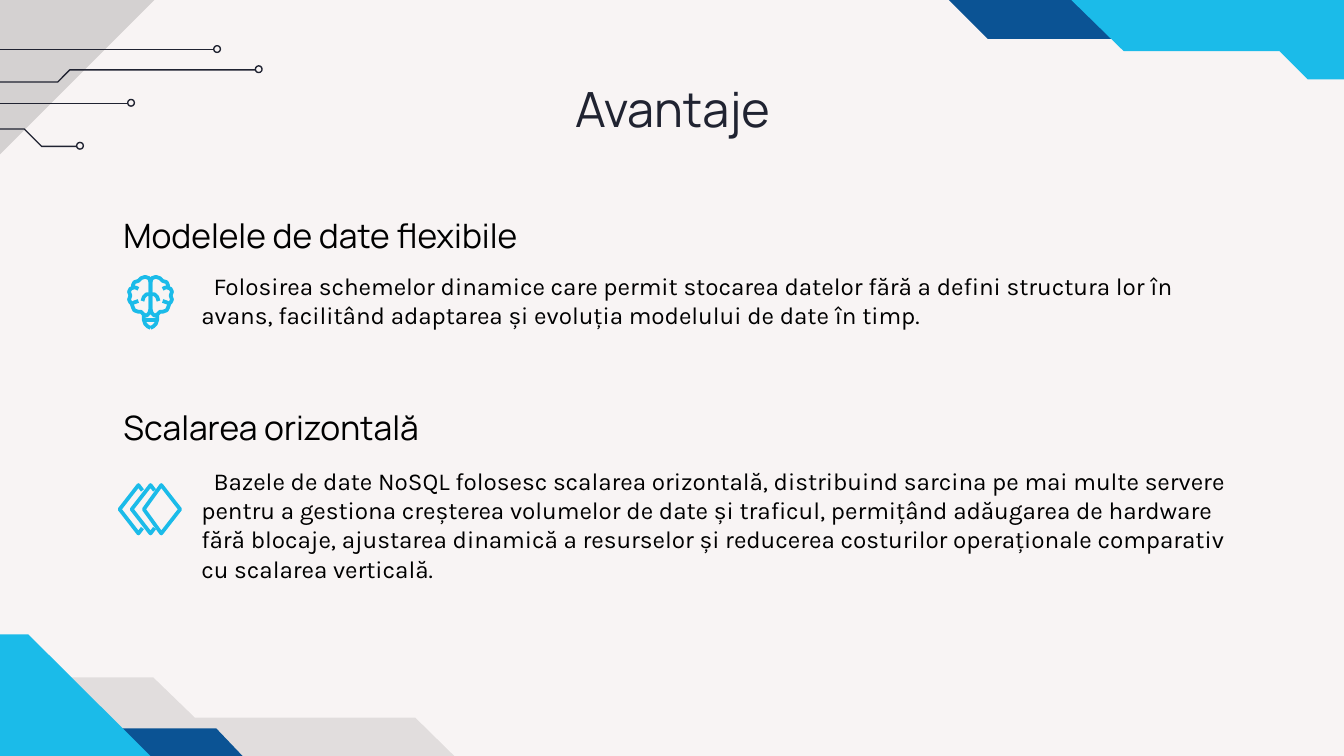
from lxml import etree
from pptx import Presentation
from pptx.dml.color import RGBColor
from pptx.enum.shapes import MSO_CONNECTOR, MSO_SHAPE
from pptx.enum.text import MSO_ANCHOR, MSO_AUTO_SIZE, PP_ALIGN
from pptx.oxml.ns import qn
from pptx.util import Pt

PX = 9144  # EMU in one px, at 100 px to the inch
WIDTH = 1000
LINE, OVAL = MSO_CONNECTOR.STRAIGHT, MSO_SHAPE.OVAL
TOP, BOTTOM = MSO_ANCHOR.TOP, MSO_ANCHOR.BOTTOM
LEFT, CENTER = PP_ALIGN.LEFT, PP_ALIGN.CENTER
FIXED = MSO_AUTO_SIZE.NONE

PAPER = RGBColor(0xF8, 0xF4, 0xF4)
BLACK = RGBColor(0x00, 0x00, 0x00)
INK = RGBColor(0x20, 0x23, 0x31)
NAVY = RGBColor(0x0B, 0x53, 0x94)
CYAN = RGBColor(0x1B, 0xBB, 0xE9)

TITLE = {"name": "Manrope", "size": Pt(26)}
HEAD = {"name": "Manrope", "size": Pt(18)}
BODY = {"name": "Karla", "size": Pt(13)}
MARGIN = 10
INDENT = 9

# Corner bands from back to front: colour, opacity in percent, outline
BANDS = [
    (BLACK, 9, [(-120, 504), (-120, 834), (439, 834), (439, 592), (368, 592),
                (309, 534), (145, 534), (114, 504)]),
    (BLACK, 14, [(-174, 120), (-174, -66), (181, -66), (-5, 120)]),
    (NAVY, 100, [(861, 29), (832, 0), (706, 0), (735, 29)]),
    (NAVY, 100, [(181, 563), (161, 542), (71, 542), (91, 563)]),
    (CYAN, 100, [(1139, 59), (1139, -174), (744, -174), (744, -3), (794, -3),
                 (836, 38), (952, 38), (973, 59)]),
    (CYAN, 100, [(-165, 472), (-165, 676), (226, 676), (21, 472)]),
]
TRACES = [
    [(-72, 77), (95, 77)],
    [(-108, 96), (18, 96), (31, 109), (57, 109)],
    [(-140, 61), (43, 61), (52, 52), (190, 52)],
    [(-165, 37), (159, 37)],
]

# Left half of the brain; the right half mirrors it about AXIS
AXIS = 112
HALF = [
    [(112, 210), (111, 207), (108, 206), (105, 207), (103, 209), (100, 210),
     (99, 212), (99, 214), (97, 215), (96, 217), (97, 220), (96, 223),
     (97, 225), (98, 226), (99, 229), (100, 231), (103, 232), (105, 232),
     (107, 234), (109, 235), (111, 233), (112, 230), (112, 210)],
    [(98, 226), (100, 225), (103, 224)],
    [(99, 214), (101, 214), (103, 215)],
    [(106, 224), (107, 221), (109, 219), (112, 219)],
    [(107, 234), (107, 238), (108, 241), (110, 243), (112, 244)],
    [(107, 238), (112, 238)],
]
BRAIN = HALF + [[(2 * AXIS - x, y) for x, y in part] for part in HALF]

CHEVRON = [(115, 365), (112, 361), (98, 379), (112, 397), (115, 393)]
LAYERS = [
    [(120, 361), (134, 379), (120, 397), (107, 379), (120, 361)],
    CHEVRON,
    [(x - 9, y) for x, y in CHEVRON],
]

# Heading, heading top, text, text top, text height
POINTS = [
    ("Modelele de date flexibile", 147,
     "Folosirea schemelor dinamice care permit stocarea datelor fără a defini "
     "structura lor în avans, facilitând adaptarea și evoluția modelului de "
     "date în timp.", 192, 63),
    ("Scalarea orizontală", 290,
     "Bazele de date NoSQL folosesc scalarea orizontală, distribuind sarcina "
     "pe mai multe servere pentru a gestiona creșterea volumelor de date și "
     "traficul, permițând adăugarea de hardware fără blocaje, ajustarea "
     "dinamică a resurselor și reducerea costurilor operaționale comparativ "
     "cu scalarea verticală.", 337, 105),
]


class Deck:
    def __init__(self):
        self.prs = Presentation()
        self.prs.slide_width = WIDTH * PX
        self.prs.slide_height = WIDTH * PX * 9 // 16
        self.slide = self.prs.slides.add_slide(self.prs.slide_layouts[5])
        self.shapes = self.slide.shapes
        back = self.slide.background.fill
        back.solid()
        back.fore_color.rgb = PAPER

    def stroke(self, shape, color, width):
        shape.line.color.rgb = color
        shape.line.width = Pt(width)

    def outline(self, parts, close):
        """Build one freeform out of several contours."""
        pen = self.shapes.build_freeform(*parts[0][0], scale=PX)
        for i, part in enumerate(parts):
            if i:
                pen.move_to(*part[0])
            pen.add_line_segments(part[1:], close=close)
        shape = pen.convert_to_shape()
        shape.shadow.inherit = False
        return shape

    def band(self, color, alpha, points):
        shape = self.outline([points], True)
        shape.fill.solid()
        shape.fill.fore_color.rgb = color
        shape.line.fill.background()
        if alpha < 100:
            tint = shape._element.spPr.find(".//" + qn("a:srgbClr"))
            etree.SubElement(tint, qn("a:alpha"), val=str(alpha * 1000))

    def sketch(self, parts, color, width):
        shape = self.outline(parts, False)
        shape.fill.background()
        self.stroke(shape, color, width)

    def wire(self, start, end):
        line = self.shapes.add_connector(LINE, *(v * PX for v in start + end))
        self.stroke(line, INK, 0.75)
        etree.SubElement(line._element.spPr, qn("a:effectLst"))

    def ring(self, x, y, size):
        shape = self.shapes.add_shape(OVAL, x * PX, y * PX, size * PX, size * PX)
        shape.shadow.inherit = False
        shape.fill.background()
        self.stroke(shape, INK, 0.75)

    def trace(self, points):
        """Draw a circuit track that ends in a ring."""
        if len(points) == 2:
            self.wire(*points)
        else:
            self.sketch([points], INK, 0.75)
        x, y = points[-1]
        self.ring(x, y - 3, 5)

    def label(self, box, text, style, color, anchor=TOP, align=LEFT, indent=0):
        """Set and format the only paragraph of a box."""
        frame = box.text_frame
        form = {"word_wrap": True, "auto_size": FIXED, "vertical_anchor": anchor}
        for side in ("left", "top", "right", "bottom"):
            form["margin_" + side] = MARGIN * PX
        for key, value in form.items():
            setattr(frame, key, value)
        para = frame.paragraphs[0]
        para.alignment = align
        if indent:
            para._p.get_or_add_pPr().set("indent", str(indent * PX))
        run = para.add_run()
        run.text = text
        for key, value in style.items():
            setattr(run.font, key, value)
        run.font.color.rgb = color

    def title(self, text, x, y, w, h):
        box = self.shapes.title
        place = {"left": x, "top": y, "width": w, "height": h}
        for key, value in place.items():
            setattr(box, key, value * PX)
        self.label(box, text, TITLE, INK, align=CENTER)

    def text(self, text, x, y, w, h, style, **form):
        box = self.shapes.add_textbox(x * PX, y * PX, w * PX, h * PX)
        self.label(box, text, style, BLACK, **form)


def main():
    deck = Deck()
    for color, alpha, points in BANDS[:4]:
        deck.band(color, alpha, points)
    for points in TRACES:
        deck.trace(points)
    for color, alpha, points in BANDS[4:]:
        deck.band(color, alpha, points)
    deck.title("Avantaje", 79, 49, 843, 63)
    for head, top, body, y, h in POINTS:
        deck.text(head, 82, top, 411, 53, HEAD, anchor=BOTTOM)
        deck.text(body, 140, y, 782, h, BODY, indent=INDENT)
    for icon in (BRAIN, LAYERS):
        deck.sketch(icon, CYAN, 2)
    deck.prs.save("out.pptx")


if __name__ == "__main__":
    main()
